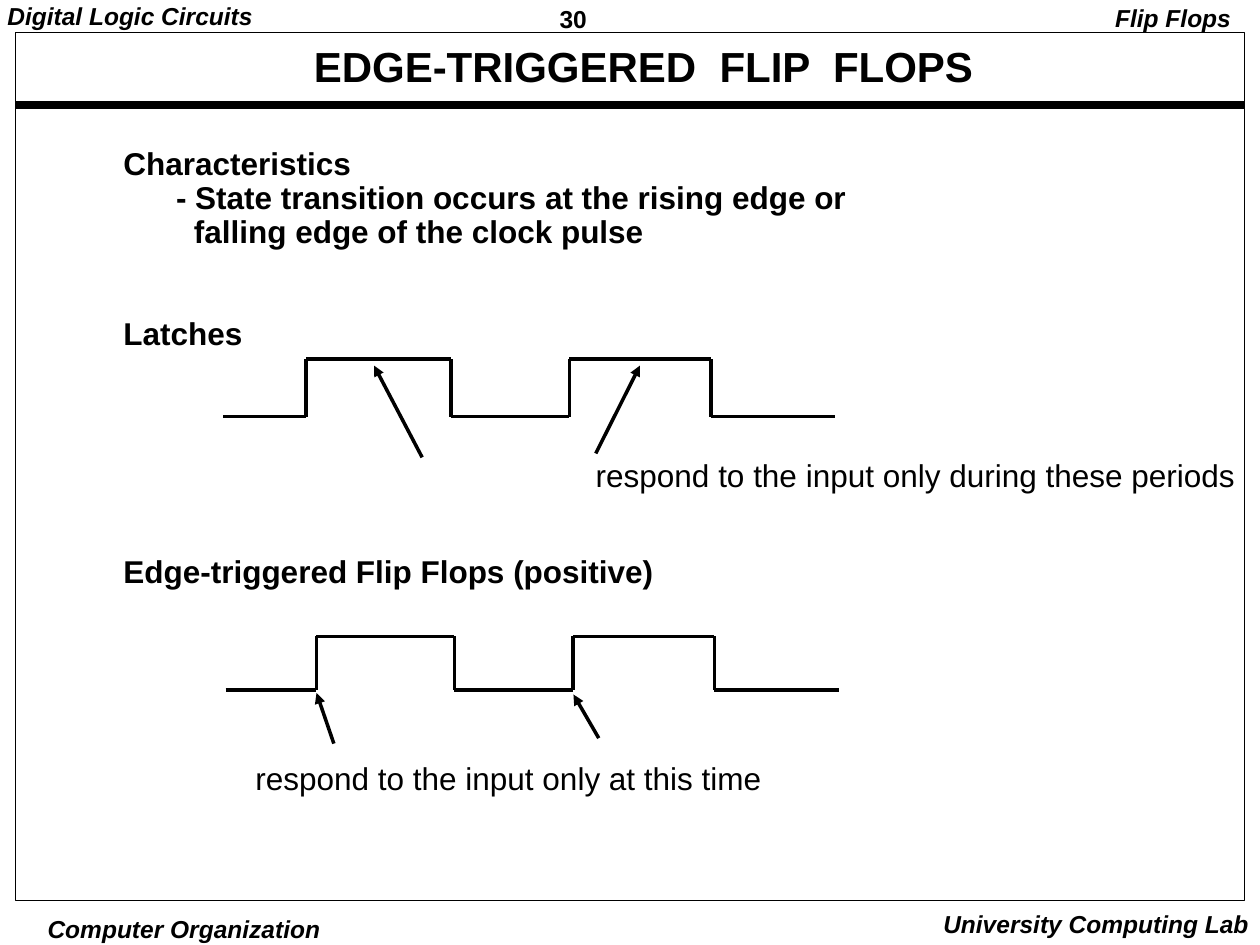
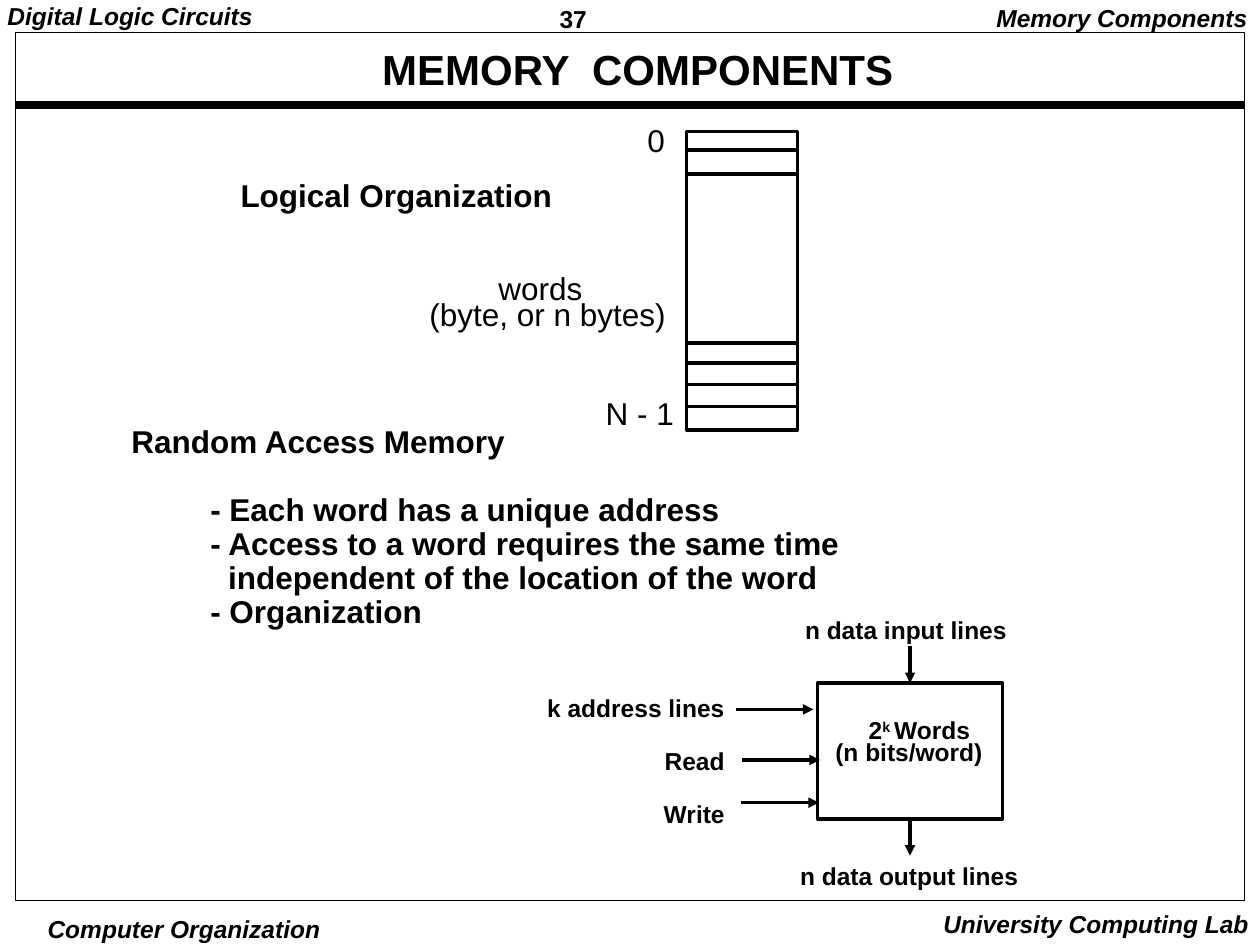
"""Build two lecture slides on flip flops and memory components."""
import itertools
from dataclasses import dataclass

import pptx
import pptx.dml.color
import pptx.enum.shapes
import pptx.enum.text
import pptx.oxml
import pptx.oxml.ns
import pptx.util

Cm, Pt = pptx.util.Cm, pptx.util.Pt
ALIGN = pptx.enum.text.PP_ALIGN
RECT = pptx.enum.shapes.MSO_SHAPE.RECTANGLE
STRAIGHT = pptx.enum.shapes.MSO_CONNECTOR.STRAIGHT
TOP, BOTTOM = 0, 2


@dataclass(frozen=True)
class Theme:
    ink: pptx.dml.color.RGBColor = pptx.dml.color.RGBColor(0, 0, 0)
    font: str = "Arial"
    title: int = 24
    body: int = 18
    small: int = 14
    spacing: float = 0.9
    line_pitch: float = 1.08
    hanging: float = 0.36
    thin: float = 0.5
    stroke: float = 2
    band: float = 4.5


@dataclass(frozen=True)
class Para:
    text: str
    blank_lines: int = 0
    indent: float = 0


THEME = Theme()
NARROW, WIDE = (0.18, 0.08), (0.25, 0.13)
SLACK = 0.3
SLACK_BEFORE = {ALIGN.LEFT: 0, ALIGN.CENTER: SLACK / 2, ALIGN.RIGHT: SLACK}
FRAME = (0.32, 0.66, 24.77, 17.5)
BAND_Y = 2.11
HEADER = dict(size=THEME.small, bold=True, italic=True)
LABEL = dict(size=THEME.small, bold=True)
HEADING = dict(bold=True)

SHARED_TEXTS = [
    ("Digital Logic Circuits", (-0.03, 0, 5.31, 0.74), dict(HEADER, inset=NARROW)),
    ("Computer Organization", (0.89, 18.39, 5.64, 0.66),
     dict(HEADER, align=ALIGN.CENTER, inset=(0.08, 0.03), spacing=1)),
    ("University Computing Lab", (18.24, 18.2, 7.19, 0.84),
     dict(HEADER, align=ALIGN.RIGHT, spacing=1)),
]

FLIP_FLOPS = dict(
    number="30", title="EDGE-TRIGGERED  FLIP  FLOPS", title_at=(1.14, 0.86),
    topic="Flip Flops", topic_box=(22.23, 0, 2.84, 0.79),
    texts=[
        ([Para("Characteristics"),
          Para("- State transition occurs at the rising edge or\v"
               "falling edge of the clock pulse", indent=1.06),
          Para("Latches", blank_lines=2),
          Para("Edge-triggered Flip Flops (positive)", blank_lines=6)],
         (2.24, 2.86, 15.09, 9.17), HEADING),
        ("respond to the input only during these periods", (11.76, 9.14, 13.39, 0.94), {}),
        ("respond to the input only at this time", (4.9, 15.25, 10.69, 0.94), {}),
    ])
WAVES = [
    dict(low=8.4, high=7.24, start=4.5, edges=[6.17, 9.09, 11.48, 14.33], end=16.84),
    dict(low=13.91, high=12.83, start=4.55, edges=[6.38, 9.16, 11.55, 14.4], end=16.92),
]
POINTERS = [
    ((8.51, 9.22), (7.54, 7.37)), ((12.01, 9.14), (12.9, 7.37)),
    ((6.73, 14.99), (6.38, 13.97)), ((12.07, 14.88), (11.56, 14)),
]

MEMORY = dict(
    number="37", title="MEMORY  COMPONENTS", title_at=(1.02, 0.91),
    topic="Memory Components", topic_box=(19.84, 0, 5.56, 0.79),
    texts=[
        ("Logical Organization", (4.6, 3.5, 6.78, 0.94), HEADING),
        ([Para("Random Access Memory"),
          Para("- Each word has a unique address", blank_lines=1, indent=1.59),
          Para("- Access to a word requires the same time\v"
               "independent of the location of the word", indent=1.59),
          Para("- Organization", indent=1.59)],
         (2.4, 8.46, 14.96, 4.37), HEADING),
        ("words", (9.8, 5.38, 2.21, 0.94), {}),
        ("(byte, or n bytes)", (8.41, 5.91, 5.26, 0.94), dict(align=ALIGN.CENTER)),
        ("0", (12.8, 2.4, 0.86, 0.94), {}),
        ("N - 1", (11.96, 7.9, 1.88, 0.94), {}),
        ("2^k ^Words", (17.25, 14.35, 2.57, 0.79), dict(LABEL, align=ALIGN.CENTER)),
        ("(n bits/word)", (16.59, 14.8, 3.48, 0.79), LABEL),
        ("n data input lines", (15.98, 12.34, 4.57, 0.79), dict(LABEL, align=ALIGN.CENTER)),
        ("n data output lines", (15.88, 17.3, 4.9, 0.79), dict(LABEL, align=ALIGN.CENTER)),
        ([Para("k address lines"), Para("Read", blank_lines=1), Para("Write", blank_lines=1)],
         (10.77, 13.91, 4.09, 2.92), dict(LABEL, align=ALIGN.RIGHT)),
    ])
WORD_COLUMN = (13.84, 2.65, 2.24, 6.02)
WORD_BORDERS = [3.02, 3.51, 6.91, 7.32, 7.75, 8.2]
RAM_BOX = (16.48, 13.77, 3.73, 2.74)
RAM_INPUTS = [(14.83, 14.3), (14.96, 15.32), (14.94, 16.18)]
INPUT_LENGTH, DATA_LENGTH = 1.57, 0.74


def cm(values):
    return [Cm(v) for v in values]


def fill_text(tf, paras, size=THEME.body, bold=False, italic=False,
              align=ALIGN.LEFT, inset=WIDE, spacing=THEME.spacing):
    tf.margin_left = tf.margin_right = Cm(inset[0])
    tf.margin_top = tf.margin_bottom = Cm(inset[1])
    for i, para in enumerate(paras):
        p = tf.paragraphs[0] if i == 0 else tf.add_paragraph()
        first, *rest = para.text.split("^")
        p.text = first
        for part, raised in zip(rest, itertools.cycle([True, False])):
            r = p.add_run()
            r.text = part
            if raised:
                r.font._element.set("baseline", "30000")
        p.alignment, p.line_spacing = align, spacing
        p.space_before = Pt(para.blank_lines * size * THEME.line_pitch)
        if para.indent:
            pPr = p._p.get_or_add_pPr()
            pPr.set("marL", str(Cm(para.indent + THEME.hanging)))
            pPr.set("indent", str(-Cm(THEME.hanging)))
        f = p.font
        f.name, f.size, f.bold, f.italic = THEME.font, Pt(size), bold, italic
        f.color.rgb = THEME.ink


def add_text(s, content, box, style):
    left, top, width, height = box
    left -= SLACK_BEFORE[style.get("align", ALIGN.LEFT)]
    tf = s.shapes.add_textbox(*cm((left, top, width + SLACK, height))).text_frame
    tf.word_wrap = False
    tf.auto_size = pptx.enum.text.MSO_AUTO_SIZE.NONE
    fill_text(tf, [Para(content)] if isinstance(content, str) else content, **style)


def add_box(s, box, width=THEME.stroke):
    sp = s.shapes.add_shape(RECT, *cm(box))
    sp.shadow.inherit = False
    sp.fill.background()
    sp.line.color.rgb, sp.line.width = THEME.ink, Pt(width)
    return sp


def add_line(s, start, end, width=THEME.stroke, arrow=False):
    c = s.shapes.add_connector(STRAIGHT, *cm((*start, *end)))
    c.line.color.rgb, c.line.width = THEME.ink, Pt(width)
    spPr = c._element.spPr
    if arrow:
        ln = spPr.find(pptx.oxml.ns.qn("a:ln"))
        ln.append(pptx.oxml.parse_xml(
            f'<a:tailEnd {pptx.oxml.ns.nsdecls("a")} type="triangle"/>'))
    spPr.append(pptx.oxml.parse_xml(f'<a:effectLst {pptx.oxml.ns.nsdecls("a")}/>'))
    return c


def add_slide(prs, page):
    s = prs.slides.add_slide(prs.slide_layouts[5])
    left, top, width, _ = FRAME
    add_line(s, (left, BAND_Y), (left + width, BAND_Y), THEME.band)
    add_box(s, FRAME, THEME.thin)
    title = s.shapes.title
    title.left, title.top, title.width, title.height = cm((*page["title_at"], 23.67, 1.07))
    tf = title.text_frame
    tf.auto_size = pptx.enum.text.MSO_AUTO_SIZE.NONE
    tf.vertical_anchor = pptx.enum.text.MSO_ANCHOR.MIDDLE
    fill_text(tf, [Para(page["title"])], THEME.title, True, align=ALIGN.CENTER, inset=NARROW)
    headers = [
        (page["number"], (11.1, 0, 2.74, 0.74), dict(LABEL, inset=NARROW, spacing=1.01)),
        (page["topic"], page["topic_box"], dict(HEADER, align=ALIGN.RIGHT)),
    ]
    for content, box, style in SHARED_TEXTS + headers + page["texts"]:
        add_text(s, content, box, style)
    return s


def add_wave(s, low, high, start, edges, end):
    points, level = [(start, low)], low
    for x in edges:
        points.append((x, level))
        level = high if level == low else low
        points.append((x, level))
    points.append((end, level))
    for a, b in itertools.pairwise(points):
        add_line(s, a, b)


def add_word_column(s):
    add_box(s, WORD_COLUMN)
    left, _, width, _ = WORD_COLUMN
    for y in WORD_BORDERS:
        add_line(s, (left, y), (left + width, y))


def add_ram(s):
    ram = add_box(s, RAM_BOX)
    left, top, width, height = RAM_BOX
    x, bottom = left + width / 2, top + height
    add_line(s, (x, top - DATA_LENGTH), (x, top), arrow=True).end_connect(ram, TOP)
    add_line(s, (x, bottom), (x, bottom + DATA_LENGTH), arrow=True).begin_connect(ram, BOTTOM)
    for x, y in RAM_INPUTS:
        add_line(s, (x, y), (x + INPUT_LENGTH, y), arrow=True)


def main():
    prs = pptx.Presentation()
    prs.slide_width, prs.slide_height = Cm(25.4), Cm(19.05)
    s = add_slide(prs, FLIP_FLOPS)
    for wave in WAVES:
        add_wave(s, **wave)
    for start, end in POINTERS:
        add_line(s, start, end, arrow=True)
    s = add_slide(prs, MEMORY)
    add_word_column(s)
    add_ram(s)
    prs.save("out.pptx")


if __name__ == "__main__":
    main()
